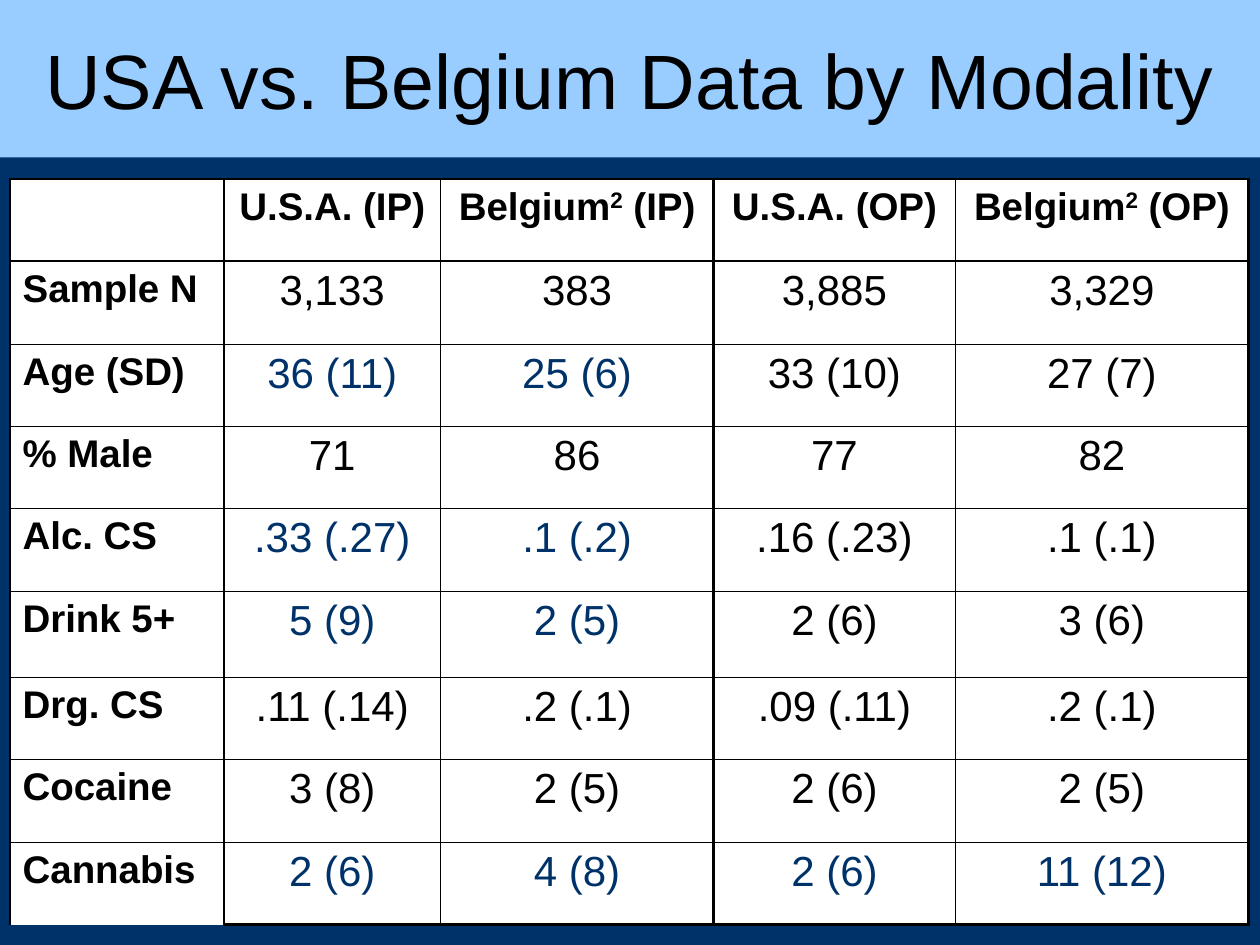
from lxml import etree
from pptx import Presentation
from pptx.dml.color import RGBColor
from pptx.enum import text
from pptx.oxml import ns
from pptx.util import Inches, Pt

NAVY = RGBColor(0x00, 0x32, 0x6A)
SKY = RGBColor(0x99, 0xCC, 0xFF)
WHITE = RGBColor(0xFF, 0xFF, 0xFF)
BLACK = RGBColor(0, 0, 0)
FONT = "Arial"

HEADS = ["", "U.S.A. (IP)", "Belgium^2^ (IP)", "U.S.A. (OP)", "Belgium^2^ (OP)"]
# Label, values, number of leading values in navy
ROWS = [
    ("Sample N", ["3,133", "383", "3,885", "3,329"], 0),
    ("Age (SD)", ["36 (11)", "25 (6)", "33 (10)", "27 (7)"], 2),
    ("% Male", ["71", "86", "77", "82"], 0),
    ("Alc. CS", [".33 (.27)", ".1 (.2)", ".16 (.23)", ".1 (.1)"], 2),
    ("Drink 5+", ["5 (9)", "2 (5)", "2 (6)", "3 (6)"], 2),
    ("Drg. CS", [".11 (.14)", ".2 (.1)", ".09 (.11)", ".2 (.1)"], 0),
    ("Cocaine", ["3 (8)", "2 (5)", "2 (6)", "2 (5)"], 0),
    ("Cannabis", ["2 (6)", "4 (8)", "2 (6)", "11 (12)"], 4),
]
WIDTHS = [1.7, 1.72, 2.17, 1.92, 2.33]
HEIGHTS = [0.65, 0.66, 0.65, 0.65, 0.66, 0.68, 0.65, 0.66, 0.65]

# Rule weights in points, from left to right and from top to bottom
THICK, MID, THIN = 1.47, 1.08, 0.45
UPRIGHT = [MID, THICK, THIN, THICK, THIN, THICK]
LEVEL = [THICK, MID] + [THIN] * 7 + [THICK]
SIDE = [MID, MID] + [THIN] * 7 + [0]


def style(para, size, color=BLACK, bold=False, align=text.PP_ALIGN.CENTER):
    para.alignment = align
    font = para.font
    font.name, font.size, font.bold = FONT, Pt(size), bold
    font.color.rgb = color


def write(para, words):
    """Add runs; parts between carets are raised."""
    for i, part in enumerate(words.split("^")):
        if part:
            run = para.add_run()
            run.text = part
            if i % 2:
                run.font._element.set("baseline", "30000")


def rule(cell, row, col):
    """Draw the four borders of a cell."""
    level = LEVEL if col else SIDE
    edges = {"lnL": UPRIGHT[col], "lnR": UPRIGHT[col + 1],
             "lnT": level[row], "lnB": level[row + 1]}
    props = cell._tc.get_or_add_tcPr()
    for i, (tag, width) in enumerate(edges.items()):
        line = etree.Element(ns.qn("a:" + tag), w=str(Pt(width)))
        if width:
            fill = etree.SubElement(line, ns.qn("a:solidFill"))
            etree.SubElement(fill, ns.qn("a:srgbClr"), val=str(BLACK))
        else:
            etree.SubElement(line, ns.qn("a:noFill"))
        props.insert(i, line)


def add_title(slide, left, top, width, height):
    title = slide.shapes.title
    title.left, title.top, title.width, title.height = left, top, width, height
    title.fill.solid()
    title.fill.fore_color.rgb = SKY
    frame = title.text_frame
    frame.text = "USA vs. Belgium Data by Modality"
    frame.vertical_anchor = text.MSO_ANCHOR.MIDDLE
    frame.auto_size = text.MSO_AUTO_SIZE.NONE
    style(frame.paragraphs[0], 44)


def add_data(slide, left, top, width, height):
    grid = slide.shapes.add_table(
        len(HEIGHTS), len(WIDTHS), left, top, width, height).table
    grid.horz_banding = False
    for col, share in zip(grid.columns, WIDTHS):
        col.width = int(width * share / sum(WIDTHS))
    for row, share in zip(grid.rows, HEIGHTS):
        row.height = int(height * share / sum(HEIGHTS))

    lines = [(HEADS, 0)] + [([name] + vals, navy) for name, vals, navy in ROWS]
    for r, (words, navy) in enumerate(lines):
        for c, word in enumerate(words):
            cell = grid.cell(r, c)
            cell.fill.solid()
            cell.fill.fore_color.rgb = WHITE
            rule(cell, r, c)
            para = cell.text_frame.paragraphs[0]
            write(para, word)
            if r == 0:
                style(para, 22, bold=True)
            elif c == 0:
                style(para, 22, bold=True, align=text.PP_ALIGN.LEFT)
            else:
                style(para, 24, NAVY if c <= navy else BLACK)


def main():
    deck = Presentation()
    deck.slide_width, deck.slide_height = Inches(10), Inches(7.5)
    slide = deck.slides.add_slide(deck.slide_layouts[5])
    slide.background.fill.solid()
    slide.background.fill.fore_color.rgb = NAVY

    # Title band
    add_title(slide, 0, 0, deck.slide_width, Inches(1.25))
    # Comparison table
    add_data(slide, Inches(0.08), Inches(1.42), Inches(9.83), Inches(5.92))
    deck.save("out.pptx")


if __name__ == "__main__":
    main()
